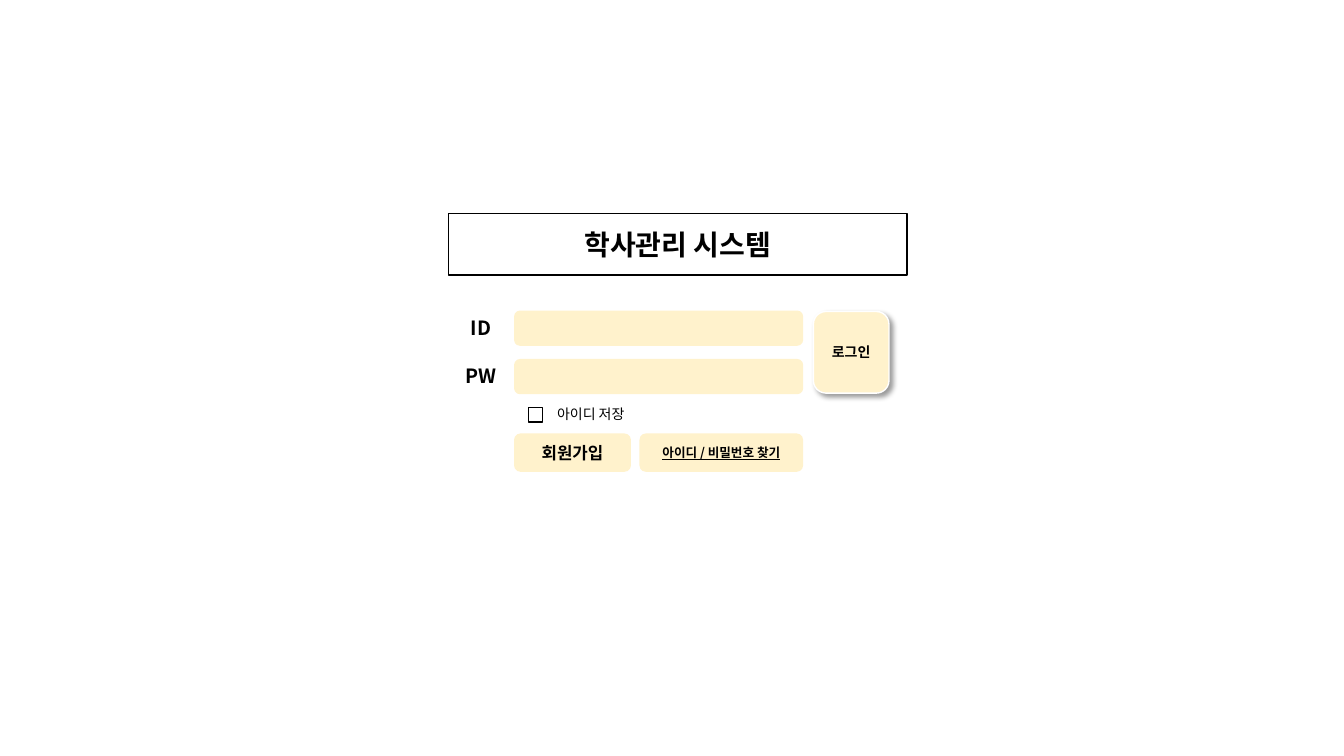
"""Build the login screen slide of an academic management system."""
from dataclasses import dataclass
from typing import Optional

import pptx
import pptx.dml.color
import pptx.enum.shapes
import pptx.enum.text
import pptx.oxml
import pptx.oxml.ns
import pptx.util
from lxml import etree

Pt = pptx.util.Pt
MSO = pptx.enum.shapes.MSO_SHAPE
ALIGN = pptx.enum.text.PP_ALIGN
ANCHOR = pptx.enum.text.MSO_ANCHOR
FONT = "Noto Sans CJK KR"
COLORS = {"cream": "FFF2CC", "white": "FFFFFF", "black": "000000"}
LABEL_X, FIELD_X, FIELD_W = 320.4, 367.2, 206.5
FIELD_Y, FIELD_H, ROW_STEP = 221.8, 25.2, 34.6
BUTTON_Y, BUTTON_H = 309.6, 27.4


@dataclass
class Box:
    """Describe a box on the form, with lengths in points."""
    x: float
    y: float
    w: float
    h: float
    text: str = ""
    size: float = 10
    underline: bool = False
    fill: Optional[str] = "cream"
    line: Optional[str] = None
    shape: MSO = MSO.ROUNDED_RECTANGLE
    shadow: bool = False


FORM_ROWS = ["ID", "PW"]
BOXES = [
    Box(377.3, 290.9, 10.4, 10.6, fill=None, line="black", shape=MSO.RECTANGLE),
    Box(581, 222.5, 54, 58.3, "로그인", line="white", shadow=True),
    Box(FIELD_X, BUTTON_Y, 83.5, BUTTON_H, "회원가입", size=12),
    Box(456.8, BUTTON_Y, 116.9, BUTTON_H, "아이디 / 비밀번호 찾기", size=9, underline=True),
]


def rgb(name: str) -> pptx.dml.color.RGBColor:
    """Return the named colour."""
    return pptx.dml.color.RGBColor.from_string(COLORS[name])


def write(sp, text: str, *, size: float, bold: bool = True,
          underline: bool = False, anchor=ANCHOR.MIDDLE) -> None:
    """Put one centred line of text in a shape."""
    tf = sp.text_frame
    tf.word_wrap = True
    tf.auto_size = pptx.enum.text.MSO_AUTO_SIZE.NONE
    tf.vertical_anchor = anchor
    p = tf.paragraphs[0]
    p.alignment = ALIGN.CENTER
    r = p.add_run()
    r.text = text
    r.font.size, r.font.bold, r.font.underline = Pt(size), bold, underline
    r.font.name = FONT
    r.font.color.rgb = rgb("black")
    ea = etree.SubElement(r.font._element, pptx.oxml.ns.qn("a:ea"))
    ea.set("typeface", FONT)


def paint(sp, fill: Optional[str], line: Optional[str]) -> None:
    """Set the fill and outline of a shape."""
    if fill:
        sp.fill.solid()
        sp.fill.fore_color.rgb = rgb(fill)
    else:
        sp.fill.background()
    if line:
        sp.line.color.rgb = rgb(line)
        sp.line.width = Pt(1)
    else:
        sp.line.fill.background()


def add_shadow(sp) -> None:
    """Cast a soft shadow to the lower right."""
    effects = sp._element.spPr.find(pptx.oxml.ns.qn("a:effectLst"))
    effects.append(pptx.oxml.parse_xml(
        f'<a:outerShdw {pptx.oxml.ns.nsdecls("a")} blurRad="{Pt(4)}" dist="{Pt(3)}" '
        f'dir="2700000" algn="tl" rotWithShape="0"><a:srgbClr val="{COLORS["black"]}">'
        '<a:alpha val="40000"/></a:srgbClr></a:outerShdw>'))


def add_box(s, box: Box) -> None:
    """Draw a box with its optional text and shadow."""
    sp = s.shapes.add_shape(box.shape, Pt(box.x), Pt(box.y), Pt(box.w), Pt(box.h))
    sp.shadow.inherit = False
    paint(sp, box.fill, box.line)
    if box.shadow:
        add_shadow(sp)
    if box.text:
        write(sp, box.text, size=box.size, underline=box.underline)


def add_label(s, text: str, x: float, y: float, w: float, h: float, *,
              size: float, bold: bool) -> None:
    """Draw a text label."""
    sp = s.shapes.add_textbox(Pt(x), Pt(y), Pt(w), Pt(h))
    write(sp, text, size=size, bold=bold, anchor=ANCHOR.TOP)


def format_title(s, text: str) -> None:
    """Place the title in a rounded frame."""
    sp = s.shapes.title
    sp.left, sp.top, sp.width, sp.height = Pt(LABEL_X), Pt(152.6), Pt(327.6), Pt(43.9)
    sp._element.spPr.insert(1, pptx.oxml.parse_xml(
        f'<a:prstGeom {pptx.oxml.ns.nsdecls("a")} prst="roundRect"><a:avLst/></a:prstGeom>'))
    paint(sp, "white", "black")
    write(sp, text, size=20)


def main() -> None:
    """Build and save the slide."""
    prs = pptx.Presentation()
    prs.slide_width, prs.slide_height = Pt(960), Pt(540)
    s = prs.slides.add_slide(prs.slide_layouts.get_by_name("Title Only"))
    format_title(s, "학사관리 시스템")
    for i, name in enumerate(FORM_ROWS):
        y = FIELD_Y + i * ROW_STEP
        add_box(s, Box(FIELD_X, y, FIELD_W, FIELD_H))
        add_label(s, name, LABEL_X, y + 0.3, 46.1, 24.5, size=14, bold=True)
    add_label(s, "아이디 저장", 387.4, 285.8, 69.1, 19.4, size=10, bold=False)
    for box in BOXES:
        add_box(s, box)
    prs.save("out.pptx")


main()
